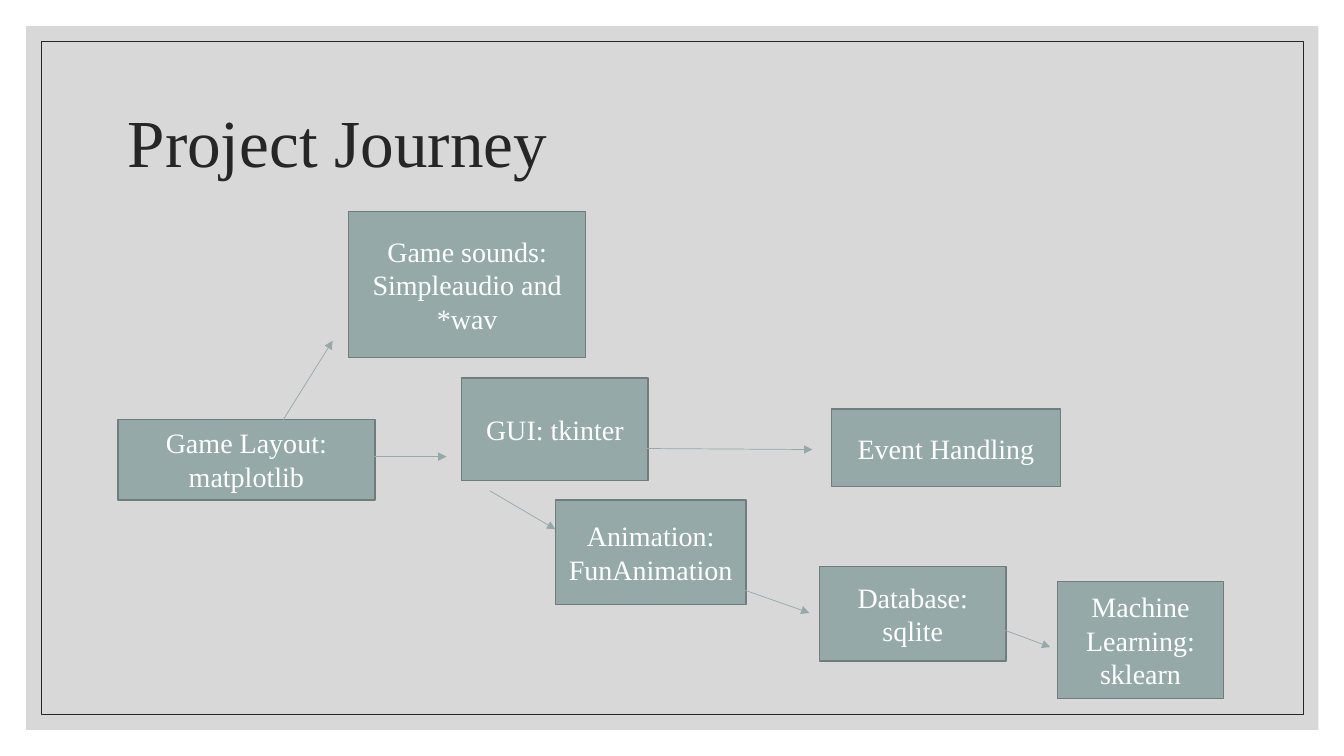
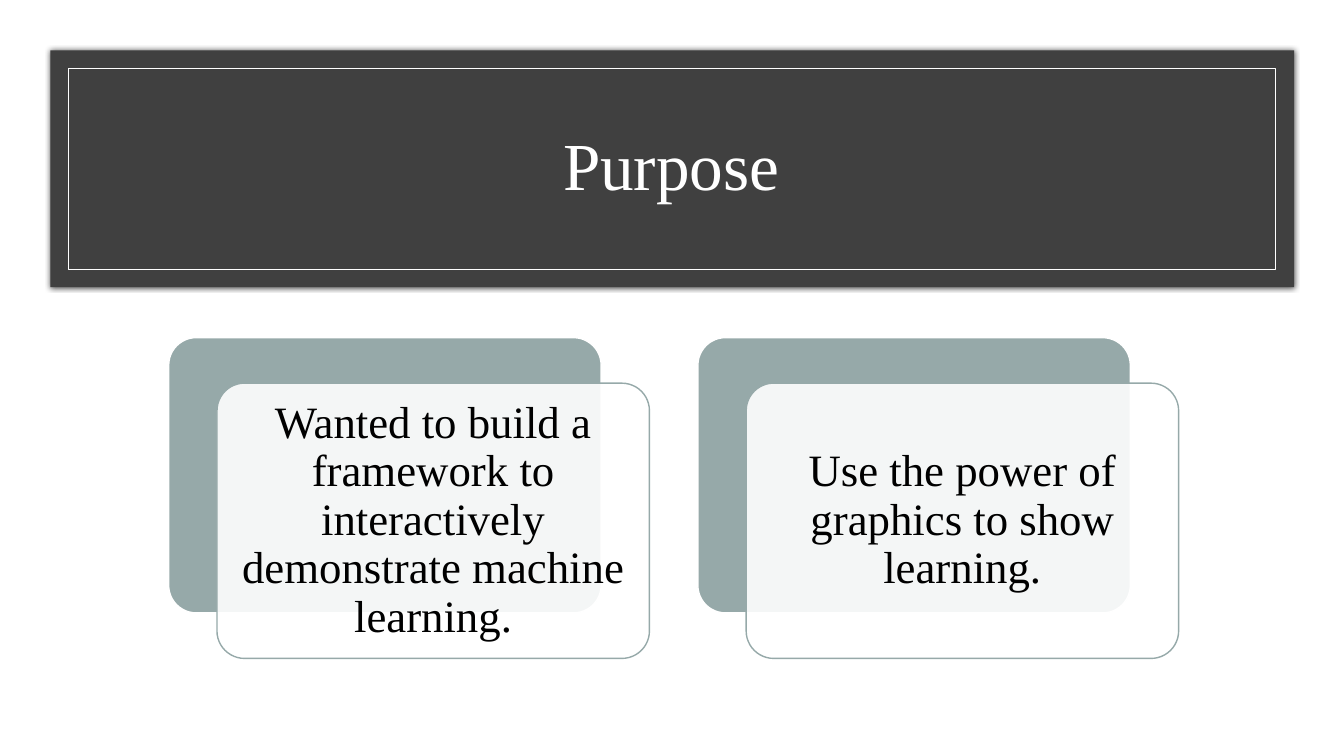
from dataclasses import dataclass

from lxml import etree
from pptx import Presentation
from pptx.dml.color import RGBColor
from pptx.enum.shapes import MSO_CONNECTOR, MSO_SHAPE
from pptx.enum.text import MSO_ANCHOR, MSO_AUTO_SIZE, PP_ALIGN
from pptx.oxml.ns import qn
from pptx.util import Pt

RECTANGLE = MSO_SHAPE.RECTANGLE
ROUNDED = MSO_SHAPE.ROUNDED_RECTANGLE
STRAIGHT = MSO_CONNECTOR.STRAIGHT
LEFT, CENTER = PP_ALIGN.LEFT, PP_ALIGN.CENTER
MIDDLE = MSO_ANCHOR.MIDDLE
NO_AUTOFIT = MSO_AUTO_SIZE.NONE


@dataclass(frozen=True)
class Theme:
    font: str = "Times New Roman"
    ink: str = "262626"
    white: str = "FFFFFF"
    black: str = "000000"
    panel: str = "BFBFBF"
    band: str = "404040"
    sage: str = "96A9A9"
    sage_edge: str = "6F7D7D"
    title_size: float = 48
    step_size: float = 20
    card_size: float = 32
    hairline: float = 0.5
    outline: float = 1
    tight: float = 0.9


THEME = Theme()
SLIDE_SIZE = (960, 540)

JOURNEY_TITLE = "Project Journey"
JOURNEY_PANEL = (18.7, 18.7, 923, 502.6)
JOURNEY_FRAME = (29.5, 29.5, 901.4, 481)
JOURNEY_TITLE_AREA = (84, 50.4, 792, 108)
STEPS = [
    (["Game sounds:", "Simpleaudio and *wav"], (249.1, 151.2, 169.2, 104.4)),
    (["GUI: tkinter"], (329.8, 270, 133.2, 73.4)),
    (["Event Handling"], (594, 292.3, 163.4, 55.4)),
    (["Game Layout: matplotlib"], (84.2, 299.5, 183.6, 57.6)),
    (["Animation: FunAnimation"], (396.7, 357.1, 136.1, 74.9)),
    (["Database: sqlite"], (585.4, 404.6, 133.2, 67.7)),
    (["Machine Learning: sklearn"], (755.3, 415.4, 118.8, 83.5)),
]
ARROWS = [
    (198, 306.7, 237.6, 243.4),
    (249.8, 326.2, 319, 326.2),
    (461.5, 320.4, 580.3, 321.1),
    (349.9, 350.6, 396.7, 378),
    (522.7, 418.3, 578.2, 437.8),
    (711.4, 447.8, 750.2, 462.2),
]

PURPOSE_TITLE = "Purpose"
PURPOSE_BAND = (36, 36, 888.5, 169.2)
PURPOSE_FRAME = (48.5, 49, 862.5, 143.3)
PURPOSE_TITLE_AREA = (83.5, 66.2, 792, 108)
CARDS = [
    "Wanted to build a framework to interactively demonstrate machine learning.",
    "Use the power of graphics to show learning.",
]
CARD_ORIGIN = (120.5, 241.2)
CARD_SIZE = (308.9, 196.6)
CARD_PITCH = 378
CARD_OFFSET = (34.5, 32.5)
CARD_INSET = 9.4


def color(value):
    return RGBColor.from_string(value)


def points(lengths):
    return [Pt(length) for length in lengths]


def set_alpha(parent, percent):
    mark = parent.find(".//" + qn("a:srgbClr"))
    etree.SubElement(mark, qn("a:alpha"), val=str(percent * 1000))


def add_box(page, area, fill=None, line=None, width=THEME.outline, kind=RECTANGLE):
    box = page.shapes.add_shape(kind, *points(area))
    box.shadow.inherit = False
    if fill:
        box.fill.solid()
        box.fill.fore_color.rgb = color(fill)
    else:
        box.fill.background()
    if line:
        box.line.color.rgb = color(line)
        box.line.width = Pt(width)
    else:
        box.line.fill.background()
    return box


def write(box, lines, size, ink, align=CENTER, spacing=1):
    frame = box.text_frame
    frame.word_wrap = True
    frame.auto_size = NO_AUTOFIT
    frame.vertical_anchor = MIDDLE
    frame.text = "\n".join(lines)
    for para in frame.paragraphs:
        para.alignment = align
        para.line_spacing = spacing
        para.font.name = THEME.font
        para.font.size = Pt(size)
        para.font.color.rgb = color(ink)


def add_page(deck, title, title_area, panel, fill, frame, ink, align):
    page = deck.slides.add_slide(deck.slide_layouts[5])
    backing = add_box(page, panel, fill=fill)
    add_box(page, frame, line=ink, width=THEME.hairline)
    heading = page.shapes.title
    heading.left, heading.top, heading.width, heading.height = points(title_area)
    write(heading, [title], THEME.title_size, ink, align, THEME.tight)
    page.shapes.element.append(heading.element)
    return page, backing


def add_arrow(page, ends):
    arrow = page.shapes.add_connector(STRAIGHT, *points(ends))
    arrow.line.color.rgb = color(THEME.sage)
    arrow.line.width = Pt(THEME.hairline)
    properties = arrow.element.spPr
    etree.SubElement(properties.find(qn("a:ln")), qn("a:tailEnd"), type="triangle")
    etree.SubElement(properties, qn("a:effectLst"))


def add_shadow(box, blur, percent):
    effects = box.element.spPr.find(qn("a:effectLst"))
    shadow = etree.SubElement(effects, qn("a:outerShdw"), blurRad=str(Pt(blur)))
    etree.SubElement(shadow, qn("a:srgbClr"), val=THEME.black)
    set_alpha(shadow, percent)


def add_card(page, index, text):
    left, top = CARD_ORIGIN[0] + index * CARD_PITCH, CARD_ORIGIN[1]
    back = add_box(page, (left, top, *CARD_SIZE), THEME.sage, THEME.white, kind=ROUNDED)
    front_area = (left + CARD_OFFSET[0], top + CARD_OFFSET[1], *CARD_SIZE)
    front = add_box(page, front_area, THEME.white, THEME.sage, kind=ROUNDED)
    back.adjustments[0] = front.adjustments[0] = 0.1
    set_alpha(front.element.spPr, 90)
    write(front, [text], THEME.card_size, THEME.black, spacing=THEME.tight)
    frame = front.text_frame
    frame.margin_left = frame.margin_right = Pt(CARD_INSET)
    frame.margin_top = frame.margin_bottom = Pt(CARD_INSET)


def build_journey(deck):
    page, panel = add_page(deck, JOURNEY_TITLE, JOURNEY_TITLE_AREA, JOURNEY_PANEL,
                           THEME.panel, JOURNEY_FRAME, THEME.ink, LEFT)
    set_alpha(panel.element.spPr, 60)
    for lines, area in STEPS:
        box = add_box(page, area, THEME.sage, THEME.sage_edge)
        write(box, lines, THEME.step_size, THEME.white)
    for ends in ARROWS:
        add_arrow(page, ends)


def build_purpose(deck):
    page, band = add_page(deck, PURPOSE_TITLE, PURPOSE_TITLE_AREA, PURPOSE_BAND,
                          THEME.band, PURPOSE_FRAME, THEME.white, CENTER)
    add_shadow(band, 4, 66)
    for index, text in enumerate(CARDS):
        add_card(page, index, text)


def main():
    deck = Presentation()
    deck.slide_width, deck.slide_height = points(SLIDE_SIZE)
    build_journey(deck)
    build_purpose(deck)
    deck.save("out.pptx")


if __name__ == "__main__":
    main()
